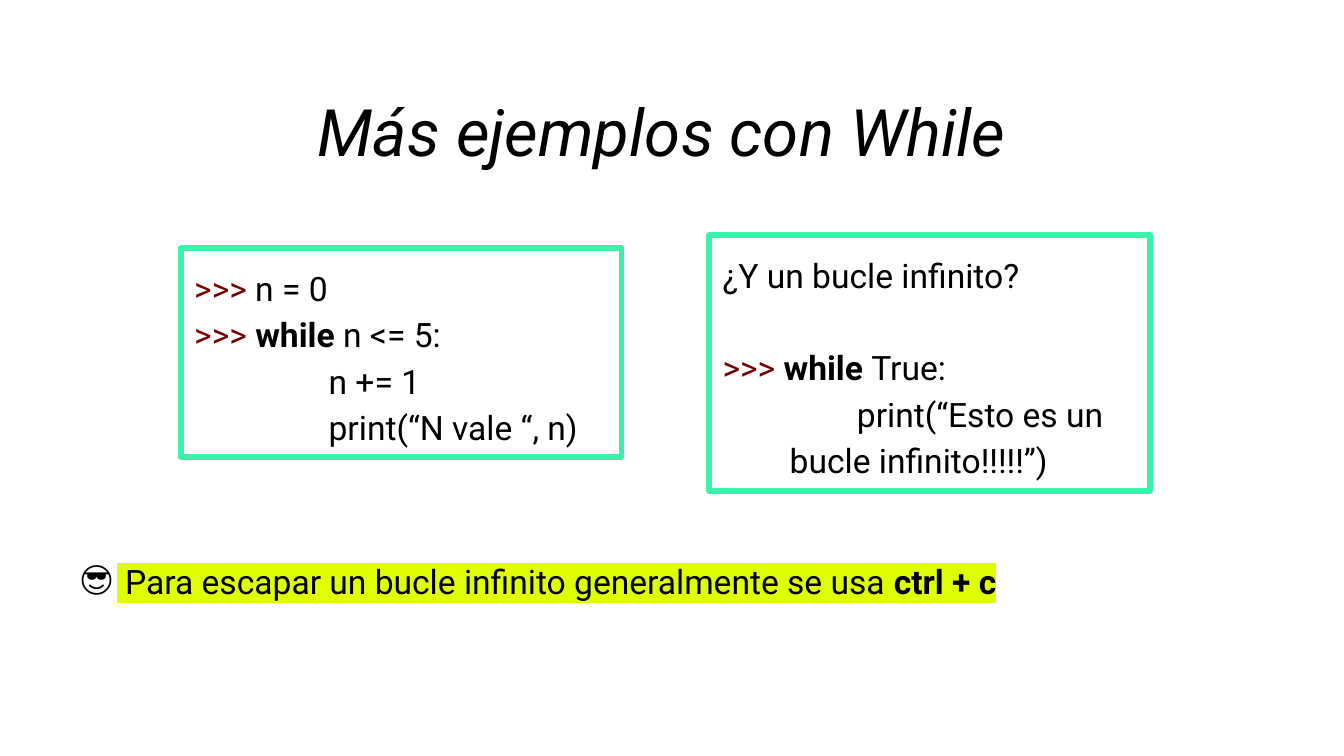
"""Build the slide with two while-loop examples and a tip on leaving an infinite loop."""
from lxml.etree import SubElement
from pptx import Presentation
from pptx.dml.color import RGBColor
from pptx.enum.shapes import MSO_SHAPE
from pptx.enum.text import MSO_ANCHOR, MSO_AUTO_SIZE, PP_ALIGN
from pptx.oxml.ns import qn
from pptx.util import Pt

COLORS = {"text": "000000", "prompt": "770000", "frame": "3CEFAB", "marker": "E0FF00"}
INSET = Pt(7.2)
INDENT = Pt(36)
BLANK_LINE = Pt(24.8)


def rgb(key):
    return RGBColor.from_string(COLORS[key])


def prepare_frame(shape, anchor=MSO_ANCHOR.TOP, grow=False):
    frame = shape.text_frame
    frame.word_wrap = True
    frame.vertical_anchor = anchor
    frame.auto_size = MSO_AUTO_SIZE.SHAPE_TO_FIT_TEXT if grow else MSO_AUTO_SIZE.NONE
    frame.margin_left = frame.margin_right = INSET
    frame.margin_top = frame.margin_bottom = INSET
    return frame


def add_text(slide, left, top, width, height, **options):
    box = slide.shapes.add_textbox(Pt(left), Pt(top), Pt(width), Pt(height))
    return prepare_frame(box, **options).paragraphs[0]


def set_font(paragraph, size, name="Roboto"):
    paragraph.font.size = Pt(size)
    paragraph.font.name = name


def add_run(paragraph, text, color="text", bold=None, marker=None):
    run = paragraph.add_run()
    run.text = text
    run.font.bold = bold
    run.font.color.rgb = rgb(color)
    if marker:
        highlight = SubElement(run.font._element, qn("a:highlight"))
        SubElement(highlight, qn("a:srgbClr"), val=COLORS[marker])


def add_code_box(slide, left, top, width, height):
    box = slide.shapes.add_shape(MSO_SHAPE.RECTANGLE, Pt(left), Pt(top), Pt(width), Pt(height))
    box.shadow.inherit = False
    box.fill.background()
    box.line.color.rgb = rgb("frame")
    box.line.width = Pt(3)
    SubElement(box.line._get_or_add_ln(), qn("a:round"))
    return prepare_frame(box, grow=True)


def add_line(frame, *runs, first=False, indented=False, gap=None):
    paragraph = frame.paragraphs[0] if first else frame.add_paragraph()
    paragraph.alignment = PP_ALIGN.LEFT
    paragraph.line_spacing = 1.15
    if gap:
        paragraph.space_before = gap
    if indented:
        properties = paragraph._p.get_or_add_pPr()
        properties.set("marL", str(INDENT))
        properties.set("indent", str(INDENT))
    set_font(paragraph, 18)
    for run in runs:
        add_run(paragraph, *run)


def add_title(slide):
    title = add_text(slide, 137, 31, 435.5, 77.5, anchor=MSO_ANCHOR.MIDDLE)
    title.alignment = PP_ALIGN.CENTER
    set_font(title, 35)
    title.font.italic = True
    add_run(title, "Más ejemplos con While")


def add_tip(slide):
    tip = add_text(slide, 55.5, 290, 516, 57)
    tip.line_spacing = 1.15
    set_font(tip, 18)
    add_run(tip, " Para escapar un bucle infinito generalmente se usa ", marker="marker")
    add_run(tip, "ctrl + c", bold=True, marker="marker")


def add_emoji(slide):
    emoji = add_text(slide, 36, 290, 37, 37.5, grow=True)
    set_font(emoji, 19, "Calibri")
    add_run(emoji, "😎")


def main():
    deck = Presentation()
    deck.slide_width, deck.slide_height = Pt(720), Pt(405)
    slide = deck.slides.add_slide(deck.slide_layouts[6])
    prompt = (">>>", "prompt")
    keyword = ("while ", "text", True)

    add_tip(slide)
    add_title(slide)

    counter = add_code_box(slide, 97, 133, 236, 112)
    add_line(counter, prompt, (" n = 0",), first=True)
    add_line(counter, prompt, (" ",), keyword, ("n <= 5:",))
    add_line(counter, ("\t\tn += 1",))
    add_line(counter, ("print(“N vale “, n)",), indented=True)

    endless = add_code_box(slide, 380, 126, 236, 137)
    add_line(endless, ("¿Y un bucle infinito?",), first=True)
    add_line(endless, prompt, (" ",), keyword, ("True:",), gap=BLANK_LINE)
    add_line(endless, ("print(“Esto es un bucle infinito!!!!!”)",), indented=True)

    add_emoji(slide)
    deck.save("out.pptx")


if __name__ == "__main__":
    main()
